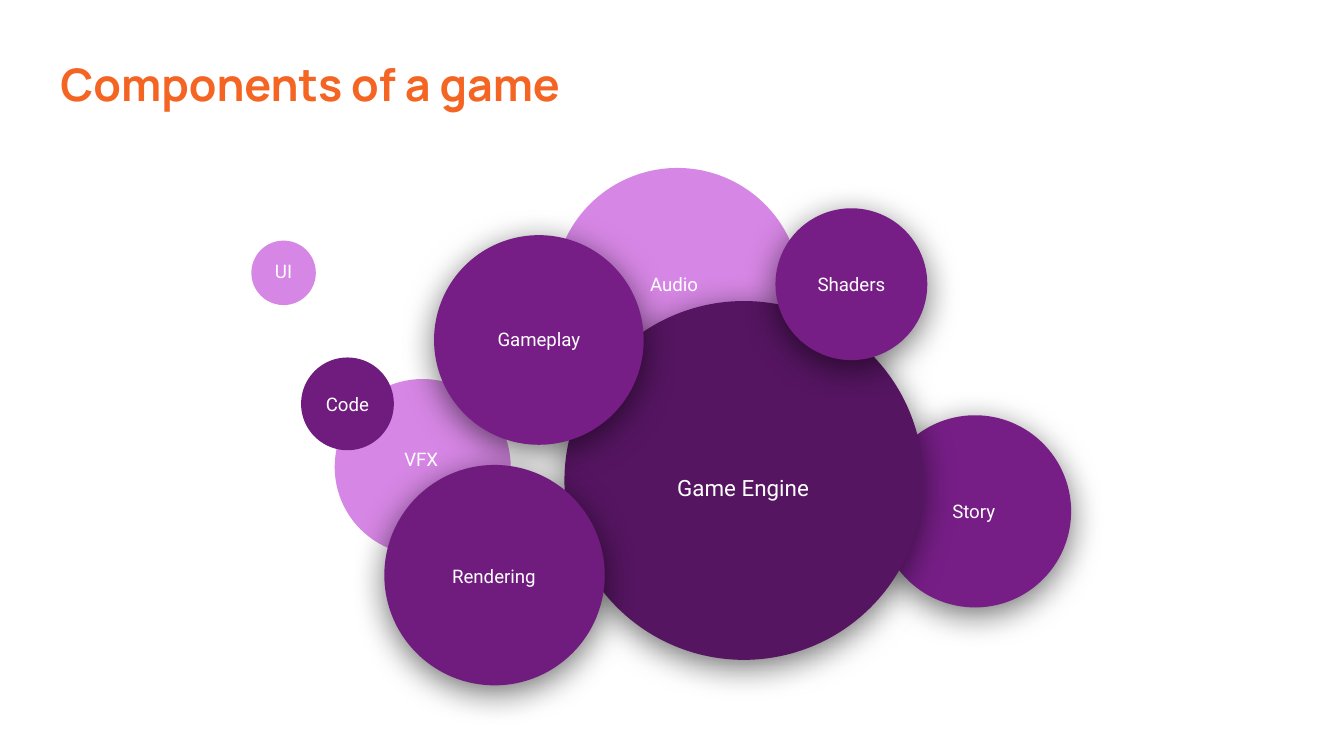
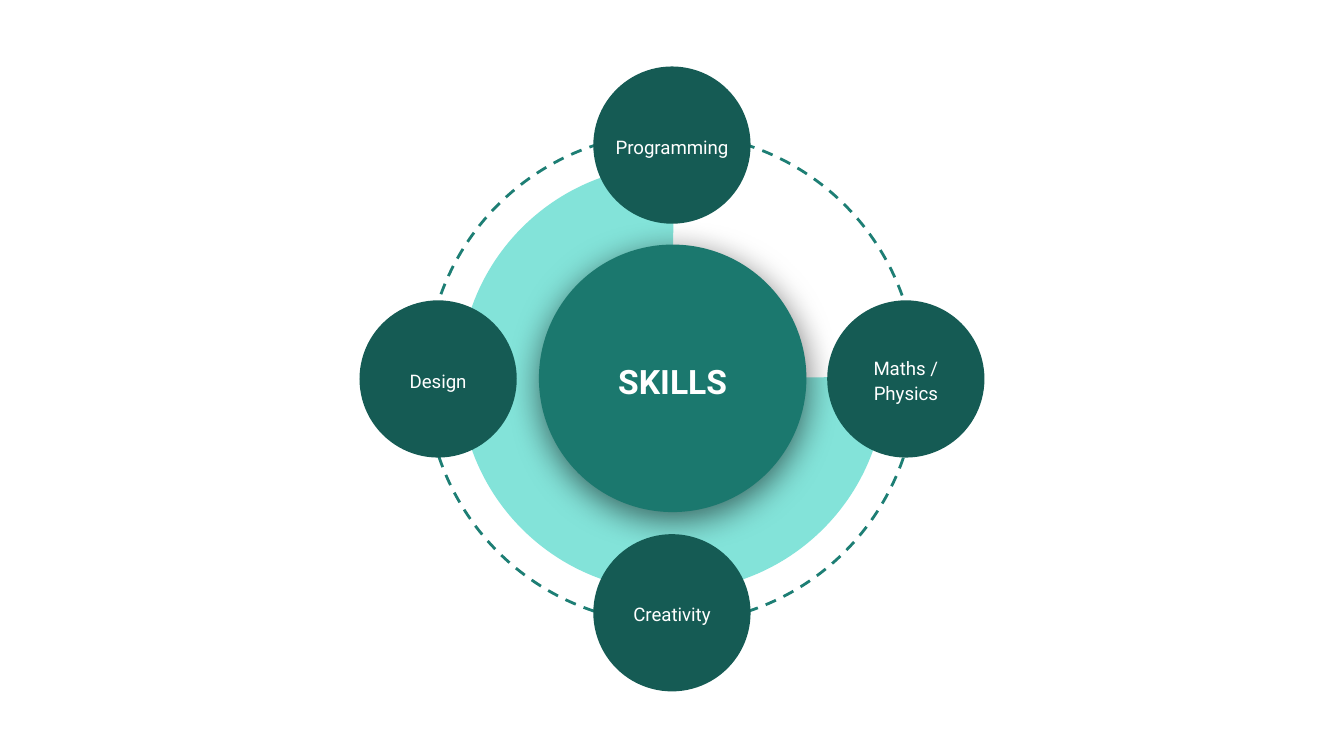
"""Build two slides: the components of a game and the skills behind it."""
from math import cos, radians, sin

from lxml.etree import SubElement
from pptx import Presentation
from pptx.dml.color import RGBColor
from pptx.enum.dml import MSO_LINE
from pptx.enum.shapes import MSO_SHAPE as SHAPE
from pptx.enum.text import MSO_ANCHOR as ANCHOR, PP_ALIGN as ALIGN
from pptx.oxml.ns import qn
from pptx.util import Inches, Pt

rgb = RGBColor.from_string
WHITE, ORANGE = "FFFFFF", "F46524"
LILAC, VIOLET, PURPLE, PLUM = "D686E4", "761E86", "701C7F", "551561"
MINT, TEAL, DARK_TEAL, DASH_TEAL = "83E3D9", "1B786E", "155B54", "1D7E74"


def add_disc(s, x, y, d, fill=None, shadow=False, kind=SHAPE.OVAL):
    sp = s.shapes.add_shape(kind, Inches(x), Inches(y), Inches(d), Inches(d))
    sp.shadow.inherit = False
    sp.line.fill.background()
    if fill:
        sp.fill.solid()
        sp.fill.fore_color.rgb = rgb(fill)
    else:
        sp.fill.background()
    if shadow:
        effects = sp._element.spPr.find(qn("a:effectLst"))
        outer = SubElement(effects, qn("a:outerShdw"), blurRad=str(Pt(18)), dist=str(Pt(4)),
                           dir="5400000", algn="bl", rotWithShape="0")
        color = SubElement(outer, qn("a:srgbClr"), val="000000")
        SubElement(color, qn("a:alpha"), val="55000")
    return sp


def add_text(s, text, box, size=10, font="Roboto", color=WHITE, bold=False,
             align=ALIGN.CENTER, anchor=ANCHOR.MIDDLE, spacing=None):
    tf = s.shapes.add_textbox(*map(Inches, box)).text_frame
    tf.word_wrap = True
    tf.vertical_anchor = anchor
    tf.margin_left = tf.margin_right = tf.margin_top = tf.margin_bottom = Inches(0.1)
    tf.text = text
    for p in tf.paragraphs:
        p.alignment = align
        p.line_spacing = spacing
        p.font.name, p.font.size, p.font.bold = font, Pt(size), bold
        p.font.color.rgb = rgb(color)
    return tf


prs = Presentation()
prs.slide_width = Inches(10)
prs.slide_height = Inches(10) * 9 // 16
blank = prs.slide_layouts[6]

s = prs.slides.add_slide(blank)
title = add_text(s, "Components of a game", (0.35, 0.32, 5.68, 0.84), 24, "Manrope", ORANGE,
                 True, ALIGN.LEFT, ANCHOR.TOP)
title.paragraphs[0].space_after = Pt(16)

components = [
    ("Story", (6.54, 3.09, 1.43), VIOLET, True, (6.76, 3.33, 0.97, 0.95), 10),
    ("UI", (1.87, 1.79, 0.48), LILAC, False, (1.58, 1.5, 1.06, 1.03), 10),
    ("VFX", (2.49, 2.82, 1.31), LILAC, False, (2.55, 2.9, 1.17, 1.03), 10),
    ("Audio", (4.12, 1.25, 1.84), LILAC, False, (4.43, 1.6, 1.17, 1.03), 10),
    ("Code", (2.24, 2.66, 0.69), PURPLE, False, (2, 2.49, 1.17, 1.03), 10),
    ("Game Engine", (4.2, 2.24, 2.67), PLUM, True, (4.51, 2.99, 2.04, 1.27), 12),
    ("Gameplay", (3.23, 1.75, 1.56), VIOLET, True, (3.48, 2.01, 1.06, 1.03), 10),
    ("Rendering", (2.86, 3.46, 1.64), PURPLE, True, (3.09, 3.77, 1.17, 1.03), 10),
    ("Shaders", (5.77, 1.55, 1.13), VIOLET, True, (5.95, 1.74, 0.77, 0.75), 10),
]
for name, disc, fill, shadow, box, size in components:
    add_disc(s, *disc, fill, shadow)
for name, disc, fill, shadow, box, size in components:
    add_text(s, name, box, size)

s = prs.slides.add_slide(blank)
cx, cy, orbit, d = 5, 2.82, 1.74, 1.17

ring = add_disc(s, 3.17, 0.99, 3.65)
ring.rotation = 270
ring.line.color.rgb = rgb(DASH_TEAL)
ring.line.width = Pt(1.5)
ring.line.dash_style = MSO_LINE.DASH

pie = add_disc(s, 3.42, 1.23, 3.17, MINT, kind=SHAPE.PIE)
pie.adjustments[0], pie.adjustments[1] = 215.77, 162.15

add_disc(s, 4.01, 1.82, 1.99, TEAL, True)
add_text(s, "SKILLS", (4.27, 2.36, 1.47, 0.9), 18, bold=True, spacing=1.15)

skills = [("Programming", 270, 1.17), ("Creativity", 90, 0.83),
          ("Design", 180, 0.83), ("Maths /\nPhysics", 0, 0.83)]
for name, angle, w in skills:
    x = cx + orbit * cos(radians(angle))
    y = cy + orbit * sin(radians(angle))
    add_disc(s, x - d / 2, y - d / 2, d, DARK_TEAL)
    add_text(s, name, (x - w / 2, y - 0.4, w, 0.8), spacing=1.15)

prs.save("out.pptx")
